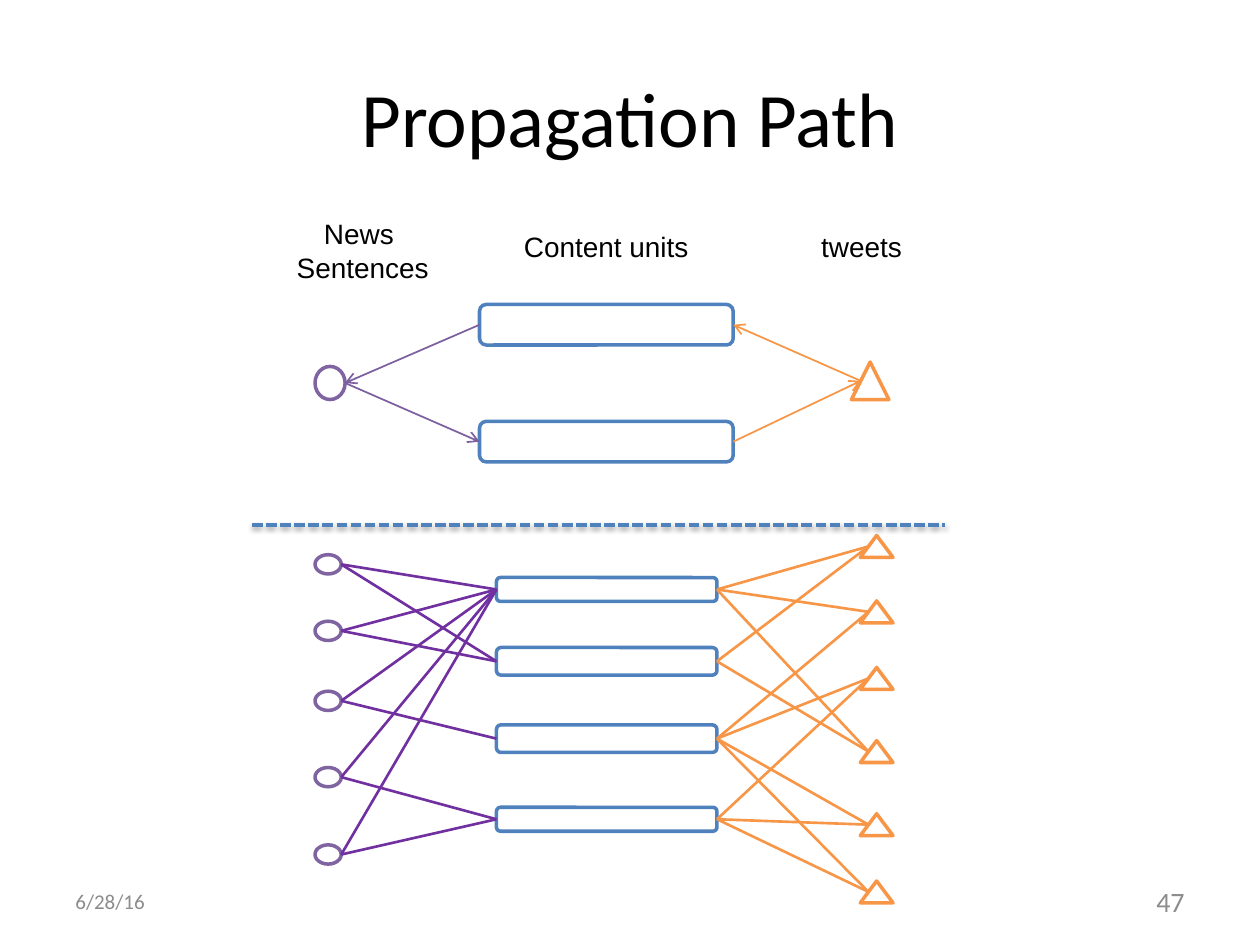
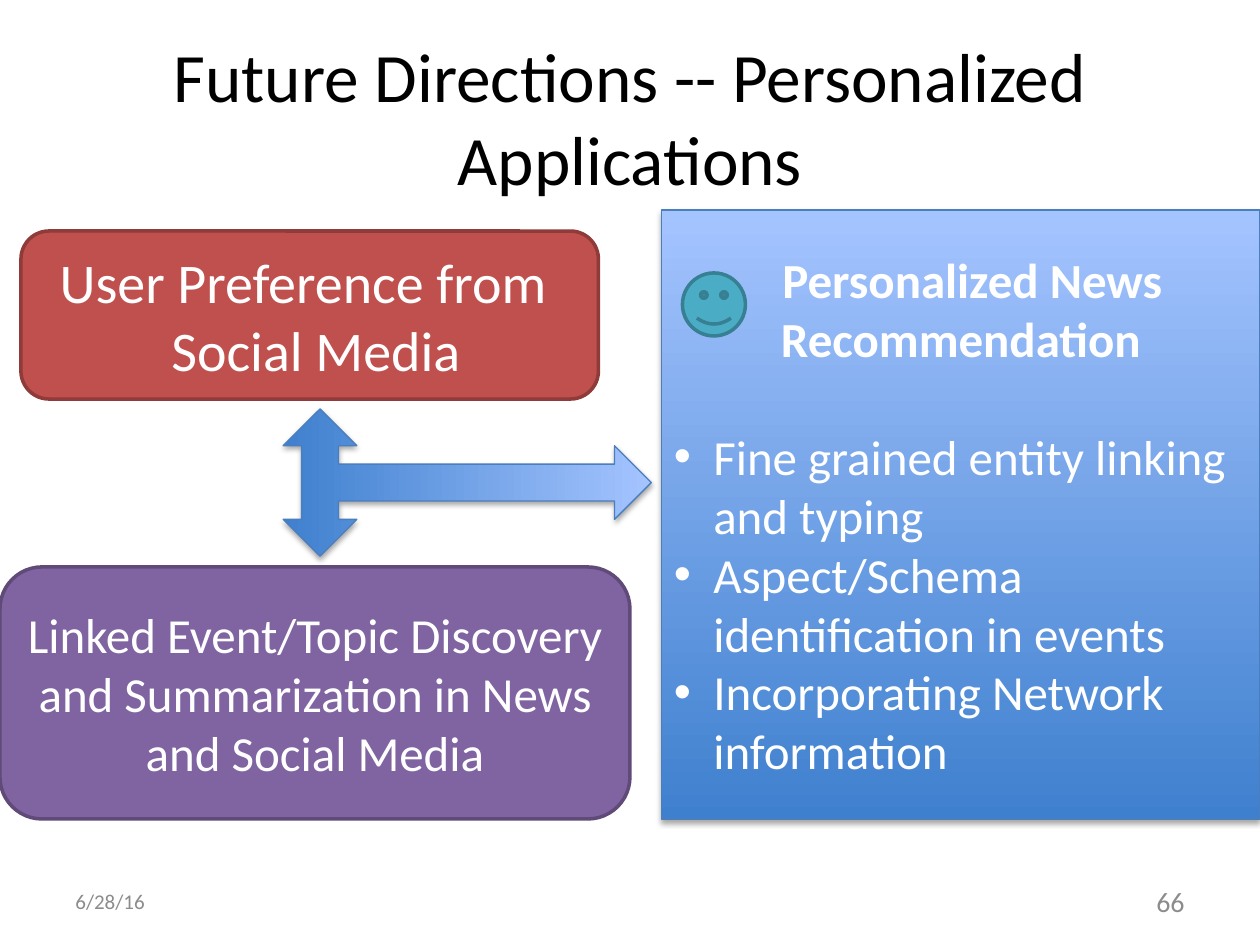
from dataclasses import dataclass
from typing import Any, Optional

import lxml.etree
import pptx
import pptx.dml.color
import pptx.enum.dml
import pptx.enum.shapes
import pptx.enum.text
import pptx.oxml.ns
import pptx.util

Pt = pptx.util.Pt
qn = pptx.oxml.ns.qn
PRESET = pptx.enum.shapes.MSO_SHAPE
ALIGN = pptx.enum.text.PP_ALIGN
ANCHOR = pptx.enum.text.MSO_ANCHOR

COLOURS = {
    "black": "000000", "white": "FFFFFF", "footer": "8C8C8C",
    "sentence": "8064A2", "sentence arrow": "7D60A0", "sentence link": "7030A0",
    "unit": "4F81BD", "tweet": "F79646",
    "preference": "C0504D", "preference edge": "8E3B39",
    "discovery": "8064A2", "discovery edge": "5F4A78",
    "smiley": "4BACC6", "smiley edge": "377F92",
    "gradient dark": "3F80CE", "gradient light": "A4C4FF", "gradient edge": "4B7EBC",
}


@dataclass(frozen=True)
class Box:
    left: float
    top: float
    width: float
    height: float

    @property
    def middle(self) -> float:
        return self.top + self.height / 2

    @property
    def left_port(self) -> tuple[float, float]:
        return self.left, self.middle

    @property
    def right_port(self) -> tuple[float, float]:
        return self.left + self.width, self.middle

    @property
    def triangle_port(self) -> tuple[float, float]:
        """Middle of a triangle's left side."""
        return self.left + self.width / 4, self.middle

    def lengths(self) -> list[int]:
        return [Pt(value) for value in (self.left, self.top, self.width, self.height)]


@dataclass(frozen=True)
class TextStyle:
    size: float
    colour: str = "white"
    name: str = "Calibri"
    bold: bool = False
    align: Any = ALIGN.CENTER
    anchor: Any = ANCHOR.MIDDLE


@dataclass(frozen=True)
class NodeKind:
    preset: Any
    colour: str


TITLE_BOX = Box(36, 21.6, 648, 90)
DATE_BOX = Box(36, 500.4, 168, 28.8)
NUMBER_BOX = Box(516, 500.4, 168, 28.8)
DATE_STYLE = TextStyle(12, "footer", align=ALIGN.LEFT)
NUMBER_STYLE = TextStyle(16, "footer", align=ALIGN.RIGHT)

SENTENCE = NodeKind(PRESET.OVAL, "sentence")
UNIT = NodeKind(PRESET.ROUNDED_RECTANGLE, "unit")
TWEET = NodeKind(PRESET.ISOSCELES_TRIANGLE, "tweet")


def rgb(name: str) -> pptx.dml.color.RGBColor:
    return pptx.dml.color.RGBColor.from_string(COLOURS[name])


# Text
def add_paragraph(frame: Any, text: str, style: TextStyle) -> Any:
    first = frame.paragraphs[0]
    paragraph = frame.add_paragraph() if first.runs else first
    paragraph.alignment = style.align
    run = paragraph.add_run()
    run.text = text
    formats = {"size": Pt(style.size), "name": style.name, "bold": style.bold}
    for attribute, value in formats.items():
        setattr(run.font, attribute, value)
    run.font.color.rgb = rgb(style.colour)
    return paragraph


def write(shape: Any, lines: list[str], style: TextStyle) -> None:
    frame = shape.text_frame
    frame.word_wrap = True
    frame.vertical_anchor = style.anchor
    for line in lines:
        add_paragraph(frame, line, style)


def add_text(slide: Any, box: Box, lines: list[str], style: TextStyle) -> None:
    write(slide.shapes.add_textbox(*box.lengths()), lines, style)


def set_bullet(paragraph: Any, indent: float) -> None:
    properties = paragraph._p.get_or_add_pPr()
    properties.set("marL", str(Pt(indent)))
    properties.set("indent", str(-Pt(indent)))
    lxml.etree.SubElement(properties, qn("a:buFont"), typeface="Arial")
    lxml.etree.SubElement(properties, qn("a:buChar"), char="•")


# Shapes and lines
def add_shadow(shape: Any, opacity: int, distance: float) -> None:
    effects = shape._element.spPr.find(qn("a:effectLst"))
    shadow = lxml.etree.SubElement(
        effects, qn("a:outerShdw"), blurRad=str(Pt(3.1)), dist=str(Pt(distance)),
        dir="5400000", rotWithShape="0")
    colour = lxml.etree.SubElement(shadow, qn("a:srgbClr"), val=COLOURS["black"])
    lxml.etree.SubElement(colour, qn("a:alpha"), val=str(opacity * 1000))


def add_shape(slide: Any, preset: Any, box: Box, fill: str, edge: str,
              width: float = 2) -> Any:
    shape = slide.shapes.add_shape(preset, *box.lengths())
    shape.shadow.inherit = False
    shape.fill.solid()
    shape.fill.fore_color.rgb = rgb(fill)
    shape.line.color.rgb = rgb(edge)
    shape.line.width = Pt(width)
    return shape


def add_gradient_shape(slide: Any, preset: Any, box: Box) -> Any:
    shape = add_shape(slide, preset, box, "gradient dark", "gradient edge", 0.75)
    shape.fill.gradient()
    shape.fill.gradient_angle = 90
    names = ("gradient dark", "gradient light")
    for position, (stop, name) in enumerate(zip(shape.fill.gradient_stops, names)):
        stop.position = position
        stop.color.rgb = rgb(name)
    add_shadow(shape, 35, 1.8)
    return shape


def add_line(slide: Any, start: tuple[float, float], end: tuple[float, float],
             colour: str, width: float, arrow: bool = False,
             dash: Optional[Any] = None) -> Any:
    line = slide.shapes.add_connector(
        pptx.enum.shapes.MSO_CONNECTOR.STRAIGHT, *map(Pt, (*start, *end)))
    line.line.color.rgb = rgb(colour)
    line.line.width = Pt(width)
    if dash is not None:
        line.line.dash_style = dash
    if arrow:
        lxml.etree.SubElement(line.line._get_or_add_ln(), qn("a:tailEnd"), type="arrow")
    lxml.etree.SubElement(line._element.spPr, qn("a:effectLst"))
    return line


def add_nodes(slide: Any, kind: NodeKind, boxes: list[Box]) -> None:
    for box in boxes:
        add_shape(slide, kind.preset, box, "white", kind.colour)


def add_slide(presentation: Any, title: str, title_size: float, number: int) -> Any:
    slide = presentation.slides.add_slide(presentation.slide_layouts[6])
    add_text(slide, TITLE_BOX, [title], TextStyle(title_size, "black"))
    add_text(slide, DATE_BOX, ["6/28/16"], DATE_STYLE)
    add_text(slide, NUMBER_BOX, [str(number)], NUMBER_STYLE)
    return slide


# Slide: propagation path
def draw_cycle(slide: Any) -> None:
    sentence = Box(180, 209.4, 17.2, 18.9)
    tweet = Box(486.5, 206.9, 21.5, 21.5)
    upper, lower = (Box(274, top, 145, 23.2) for top in (174, 240.8))
    add_nodes(slide, SENTENCE, [sentence])
    add_nodes(slide, TWEET, [tweet])
    add_nodes(slide, UNIT, [upper, lower])
    arrows = [
        (sentence.right_port, lower.left_port, "sentence arrow"),
        (upper.left_port, sentence.right_port, "sentence arrow"),
        (lower.right_port, tweet.triangle_port, "tweet"),
        (tweet.triangle_port, upper.right_port, "tweet"),
    ]
    for start, end, colour in arrows:
        add_line(slide, start, end, colour, 1, arrow=True)


def draw_network(slide: Any) -> None:
    sentences = [Box(180, top, 15, 11) for top in (317, 355, 395, 438.6, 482.8)]
    units = [Box(283.7, top, 126, height) for top, height in
             ((330, 13.7), (370, 15.8), (414.2, 15.8), (461.3, 13.7))]
    tweets = [Box(491.6, top, 18.7, 12.5)
              for top in (306, 343.4, 381.4, 423.2, 465, 503.4)]
    for kind, boxes in ((SENTENCE, sentences), (TWEET, tweets), (UNIT, units)):
        add_nodes(slide, kind, boxes)

    # Indices of the units linked to each sentence and each tweet
    sentence_units = [(0, 1), (0, 1), (0, 2), (0, 3), (0, 3)]
    tweet_units = [(0, 1), (0, 2), (2, 3), (0, 1), (2, 3), (2, 3)]
    for sentence, linked in zip(sentences, sentence_units):
        for index in linked:
            add_line(slide, sentence.right_port, units[index].left_port,
                     "sentence link", 1.5)
    for tweet, linked in zip(tweets, tweet_units):
        for index in linked:
            add_line(slide, tweet.triangle_port, units[index].right_port, "tweet", 1.5)


def build_propagation(presentation: Any) -> None:
    slide = add_slide(presentation, "Propagation Path", 44, 47)
    draw_cycle(slide)
    headings = [
        (Box(156.2, 120.2, 102.2, 46), ["News ", "Sentences"], ALIGN.CENTER),
        (Box(292.3, 127.5, 127.4, 26.6), ["Content units"], ALIGN.LEFT),
        (Box(462.2, 127.5, 79.2, 26.6), ["tweets"], ALIGN.LEFT),
    ]
    for box, lines, align in headings:
        add_text(slide, box, lines,
                 TextStyle(16, "black", "Arial", align=align, anchor=ANCHOR.TOP))
    draw_network(slide)
    divider = add_line(slide, (144, 300), (540, 300), "unit", 2,
                       dash=pptx.enum.dml.MSO_LINE.SQUARE_DOT)
    add_shadow(divider, 38, 1.6)


# Slide: future directions
def build_directions(presentation: Any) -> None:
    slide = add_slide(presentation, "Future Directions -- Personalized Applications",
                      39.6, 66)
    themes = [
        (Box(12, 132, 330, 96), "preference", 32,
         ["User Preference from ", " Social Media"]),
        (Box(0, 324, 360, 144), "discovery", 28,
         ["Linked Event/Topic Discovery and Summarization in News and Social Media"]),
    ]
    for box, name, size, lines in themes:
        theme = add_shape(slide, PRESET.ROUNDED_RECTANGLE, box, name, f"{name} edge")
        write(theme, lines, TextStyle(size))

    arrow = add_gradient_shape(slide, PRESET.LEFT_RIGHT_UP_ARROW,
                               Box(224.9, 170.6, 84.2, 210.4))
    arrow.rotation = 90

    panel = add_gradient_shape(slide, PRESET.RECTANGLE, Box(378, 120, 342, 348))
    write(panel, ["Personalized News Recommendation"], TextStyle(28, bold=True))
    heading = panel.text_frame.paragraphs[0]
    heading._p.get_or_add_pPr().set("indent", str(Pt(13)))
    topics = ["Fine grained entity linking and typing",
              "Aspect/Schema identification in events",
              "Incorporating Network information"]
    for index, topic in enumerate(topics):
        paragraph = add_paragraph(panel.text_frame, topic,
                                  TextStyle(28, align=ALIGN.LEFT))
        set_bullet(paragraph, 22.5)
        if index == 0:
            paragraph.space_before = Pt(34)
    add_shape(slide, PRESET.SMILEY_FACE, Box(390, 156, 36, 36), "smiley", "smiley edge")


def main() -> None:
    presentation = pptx.Presentation()
    presentation.slide_width = Pt(720)
    presentation.slide_height = Pt(540)
    build_propagation(presentation)
    build_directions(presentation)
    presentation.save("out.pptx")


if __name__ == "__main__":
    main()
